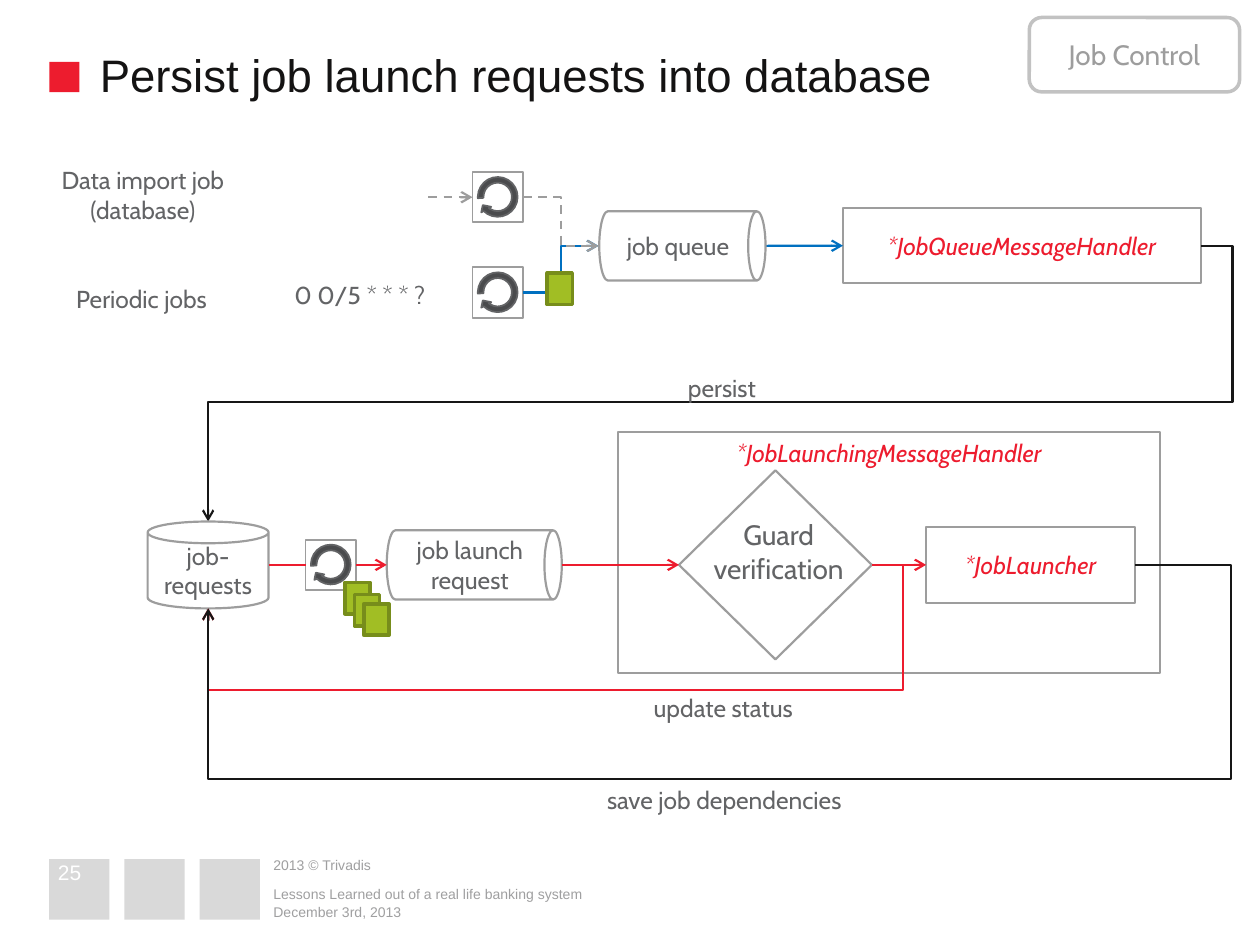
from lxml import etree
from pptx import Presentation
from pptx.dml.color import RGBColor
from pptx.enum import dml, shapes, text
from pptx.oxml.ns import qn
from pptx.util import Pt

SHAPE = shapes.MSO_SHAPE
ANCHOR = text.MSO_ANCHOR
ALIGN = text.PP_ALIGN

RED, BLUE, BLACK = "ED1C2E", "0070C0", "171717"
WHITE, GRAY, TEXT_GRAY, FOOTER_GRAY = "FFFFFF", "9D9D9D", "636466", "9F9FA0"
TOP, LEFT, BOTTOM, RIGHT = range(4)
QUEUE_Y, FLOW_Y = 140.5, 322.8
REQUESTS_X = 119


def color(hex_code):
    return RGBColor.from_string(hex_code)


def write(shape, words, size=14, font="Cabin", ink=TEXT_GRAY, italic=False,
          align=ALIGN.CENTER, anchor=ANCHOR.MIDDLE, margin=None):
    frame = shape.text_frame
    frame.word_wrap = True
    frame.vertical_anchor = anchor
    if margin is not None:
        frame.margin_left = frame.margin_right = Pt(margin)
        frame.margin_top = frame.margin_bottom = Pt(margin)
    paragraph = frame.paragraphs[0]
    paragraph.text = words
    paragraph.alignment = align
    for run in paragraph.runs:
        run.font.size = Pt(size)
        run.font.name = font
        run.font.italic = italic
        run.font.color.rgb = color(ink)


def add_box(parent, kind, left, top, width, height, fill=WHITE, line=GRAY, weight=1.25):
    shape = parent.shapes.add_shape(kind, Pt(left), Pt(top), Pt(width), Pt(height))
    shape.shadow.inherit = False
    shape.fill.solid()
    shape.fill.fore_color.rgb = color(fill)
    if line:
        shape.line.color.rgb = color(line)
        shape.line.width = Pt(weight)
    else:
        shape.line.fill.background()
    return shape


def add_label(parent, words, left, top, width, height, anchor=ANCHOR.TOP, **style):
    label = parent.shapes.add_textbox(Pt(left), Pt(top), Pt(width), Pt(height))
    write(label, words, anchor=anchor, margin=0, **style)


def add_handler(slide, words, left, top, width, height, anchor=ANCHOR.MIDDLE):
    box = add_box(slide, SHAPE.RECTANGLE, left, top, width, height)
    write(box, words, ink=RED, italic=True, anchor=anchor)
    return box


def add_queue(slide, words, left, center_y, length, thickness=39.6):
    """Lay a can on its side and keep its text upright."""
    queue = add_box(slide, SHAPE.CAN, left + (length - thickness) / 2,
                    center_y - length / 2, thickness, length)
    queue.rotation = 90
    write(queue, words)
    queue.text_frame._txBody.bodyPr.set("vert", "vert270")


def add_poller(slide, left, center_y, side=28.8):
    """Draw a framed circular arrow and return the frame."""
    group = slide.shapes.add_group_shape()
    top = center_y - side / 2
    frame = add_box(group, SHAPE.RECTANGLE, left, top, side, side, weight=1)
    arrow = add_box(group, SHAPE.CIRCULAR_ARROW, left + 1.4, top + 1.2, 26, 26,
                    fill="4A4B4D", line=TEXT_GRAY, weight=1)
    for index, value in enumerate((0.125, 11.423, 204.577, 15.073, 0.125)):
        arrow.adjustments[index] = value
    arrow.rotation = 151.1
    return frame


def add_message(slide, left, top):
    add_box(slide, SHAPE.RECTANGLE, left, top, 14.4, 18,
            fill="A1BE24", line="778D1B", weight=2)


def style_connector(connector, ink, arrow, dashed):
    connector.line.color.rgb = color(ink)
    connector.line.width = Pt(1.25)
    if dashed:
        connector.line.dash_style = dml.MSO_LINE.DASH
    properties = connector._element.spPr
    if arrow:
        etree.SubElement(properties.find(qn("a:ln")), qn("a:tailEnd"), type="arrow")
    etree.SubElement(properties, qn("a:effectLst"))


def add_link(slide, start, end, ink, arrow=True, dashed=False, source=None, target=None):
    """Draw a straight line; source and target are (shape, side) pairs."""
    connector = slide.shapes.add_connector(
        shapes.MSO_CONNECTOR.STRAIGHT, *(Pt(value) for value in start + end))
    if source:
        connector.begin_connect(*source)
    if target:
        connector.end_connect(*target)
    style_connector(connector, ink, arrow, dashed)


def add_route(slide, start, end, ink, turn_x, turn_y=None, dashed=False):
    """Draw an elbow that turns at turn_x and, if given, again at turn_y."""
    connector = slide.shapes.add_connector(
        shapes.MSO_CONNECTOR.ELBOW, *(Pt(value) for value in start + end))
    ratios = [(turn_x - start[0]) / (end[0] - start[0])]
    geometry = connector._element.spPr.find(qn("a:prstGeom"))
    if turn_y is not None:
        geometry.set("prst", "bentConnector4")
        ratios.append((turn_y - start[1]) / (end[1] - start[1]))
    guides = geometry.find(qn("a:avLst"))
    for number, ratio in enumerate(ratios, 1):
        etree.SubElement(guides, qn("a:gd"), name=f"adj{number}",
                         fmla=f"val {round(ratio * 100000)}")
    style_connector(connector, ink, True, dashed)


def add_frame(slide):
    """Title, corner tag and footer."""
    for index in range(3):
        add_box(slide, SHAPE.RECTANGLE, 28 + 43 * index, 491, 34.5, 34.5,
                fill="D9D9D9", line=None)
    add_box(slide, SHAPE.RECTANGLE, 28.2, 35.4, 17.2, 17.2, fill=RED, line=None)

    title = slide.shapes.title
    title.left, title.top, title.width, title.height = Pt(57), Pt(26.7), Pt(644.4), Pt(31.7)
    write(title, "Persist job launch requests into database", size=26, font="Arial",
          ink="141313", align=ALIGN.LEFT, anchor=ANCHOR.TOP, margin=0)
    title.text_frame.auto_size = text.MSO_AUTO_SIZE.NONE

    footer = {"font": "Arial", "align": ALIGN.LEFT}
    small = {"size": 8, "ink": FOOTER_GRAY, **footer}
    add_label(slide, "2013 © Trivadis", 156.2, 489, 97, 11, anchor=ANCHOR.MIDDLE, **small)
    add_label(slide, "Lessons Learned out of a real life banking system",
              156.2, 502.6, 386, 13, anchor=ANCHOR.BOTTOM, **small)
    add_label(slide, "December 3rd, 2013", 156.2, 512.6, 386, 13,
              anchor=ANCHOR.BOTTOM, **small)
    add_label(slide, "25", 33.1, 492.5, 34.5, 12.2, anchor=ANCHOR.MIDDLE,
              size=12, ink=WHITE, **footer)

    tag = add_box(slide, SHAPE.ROUNDED_RECTANGLE, 588.2, 10, 120.2, 42.5,
                  line="C2C2C2", weight=2)
    write(tag, "Job Control", size=16, ink=GRAY)


def add_request_flow(slide):
    """Upper row: jobs go through the queue and are persisted."""
    import_poller = add_poller(slide, 270, 112.7)
    add_poller(slide, 270, 167.2)
    handler = add_handler(slide, "*JobQueueMessageHandler", 481.7, 118.8, 204.5, 43.2)

    add_route(slide, (298.8, 167.2), (342, QUEUE_Y), BLUE, 320.4)
    add_link(slide, (437, QUEUE_Y), (481.7, QUEUE_Y), BLUE, target=(handler, LEFT))
    add_queue(slide, "job queue", 342.4, QUEUE_Y, 95)
    add_link(slide, (244.8, 112.7), (270, 112.7), GRAY, dashed=True,
             target=(import_poller, LEFT))
    add_route(slide, (298.8, 112.7), (342, QUEUE_Y), GRAY, 320.4, dashed=True)
    add_message(slide, 312.7, 156)
    add_route(slide, (686.2, QUEUE_Y), (REQUESTS_X, 298), BLACK, 704.2, 229.7)


def add_launch_flow(slide):
    """Lower row: stored requests are verified, launched and updated."""
    add_handler(slide, "*JobLaunchingMessageHandler", 353.3, 247, 309.6, 137.5,
                anchor=ANCHOR.TOP)
    store = add_box(slide, SHAPE.CAN, 84.4, 298, 69.1, 49.7)
    write(store, "job-requests")
    add_queue(slide, "job launch request", 221, FLOW_Y, 100)
    poller = add_poller(slide, 174.6, FLOW_Y)

    group = slide.shapes.add_group_shape()
    guard = add_box(group, SHAPE.DIAMOND, 388, FLOW_Y - 54, 110.2, 108)
    add_label(group, "Guard verification", 396.7, 296, 96.5, 38.9, size=16)
    launcher = add_handler(slide, "*JobLauncher", 529.2, FLOW_Y - 21.6, 119.5, 43.2)

    add_link(slide, (174.6, FLOW_Y), (153.5, FLOW_Y), RED, arrow=False,
             source=(poller, LEFT))
    add_link(slide, (203.4, FLOW_Y), (221, FLOW_Y), RED, source=(poller, RIGHT))
    add_link(slide, (321, FLOW_Y), (388, FLOW_Y), RED, target=(guard, LEFT))
    add_link(slide, (498.2, FLOW_Y), (529.2, FLOW_Y), RED,
             source=(guard, RIGHT), target=(launcher, LEFT))
    for left, top in ((197.1, 332.8), (202.6, 339.7), (207.9, 345)):
        add_message(slide, left, top)

    store_bottom = (REQUESTS_X, 347.7)
    add_route(slide, (498.2, FLOW_Y), store_bottom, RED, 516.2, 394.4)
    add_route(slide, (648.7, FLOW_Y), store_bottom, BLACK, 703.4, 445)


def main():
    presentation = Presentation()
    presentation.slide_width, presentation.slide_height = Pt(720), Pt(540)
    slide = presentation.slides.add_slide(presentation.slide_layouts[5])
    add_frame(slide)
    add_request_flow(slide)
    add_launch_flow(slide)
    for words, left, top, width, height in (
            ("Data import job\n(database)", 10, 94.5, 143.3, 33.8),
            ("Periodic jobs", 9.2, 162.3, 143.3, 17),
            ("0 0/5 * * * ?", 160, 159.8, 91.4, 17),
            ("persist", 331.2, 213.4, 162.7, 17),
            ("update status", 351.4, 396.2, 123.8, 17),
            ("save job dependencies", 332.6, 448.8, 162.7, 17)):
        add_label(slide, words, left, top, width, height)
    presentation.save("out.pptx")


if __name__ == "__main__":
    main()
